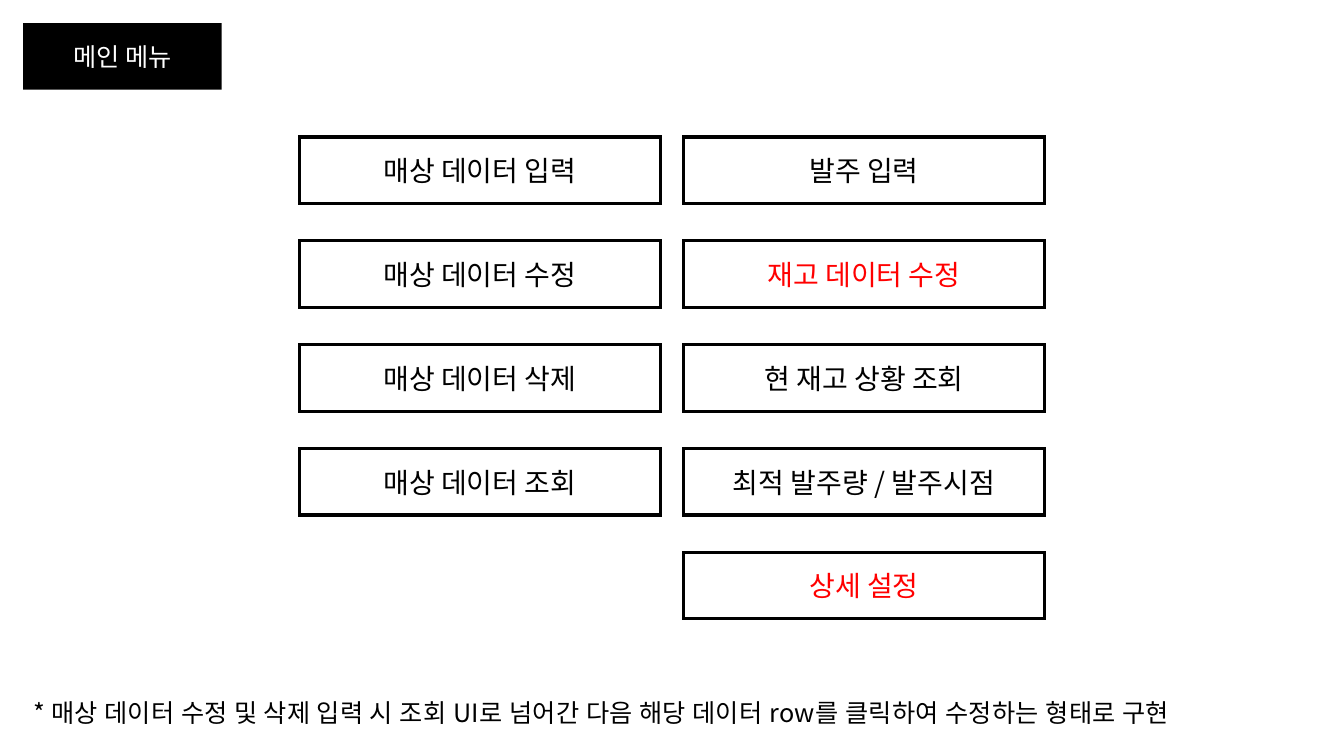
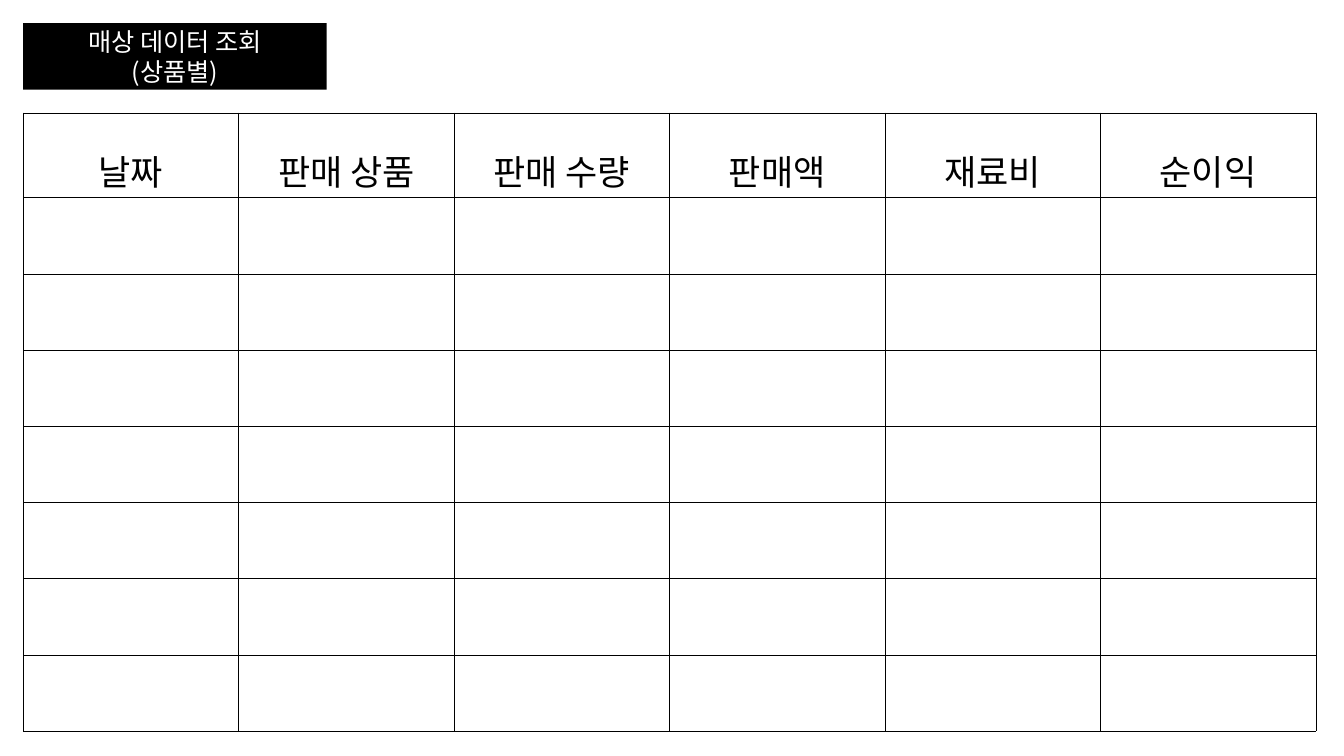
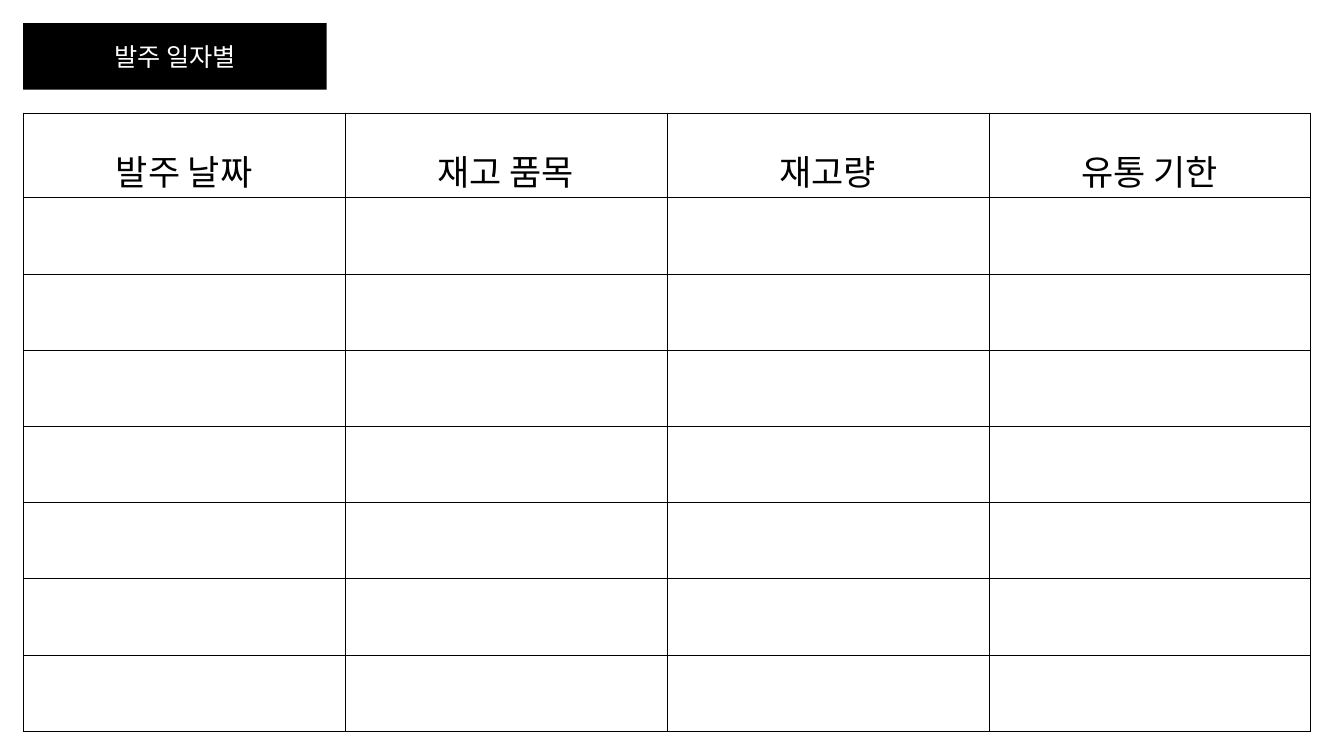
from lxml.etree import SubElement
from pptx import Presentation
from pptx.dml.color import RGBColor
from pptx.enum.shapes import MSO_SHAPE
from pptx.enum.text import MSO_ANCHOR, MSO_AUTO_SIZE, PP_ALIGN
from pptx.oxml.ns import qn
from pptx.util import Inches, Pt

# Shared style
FONT = "Noto Sans CJK KR"
BLACK, WHITE, RED = "000000", "FFFFFF", "FF0000"
MARGIN = 0.23
BAR_HEIGHT = 0.66

# Content
MENU_TITLE = "메인 메뉴"
MENU_COLUMNS = [
    ["매상 데이터 입력", "매상 데이터 수정", "매상 데이터 삭제", "매상 데이터 조회"],
    ["발주 입력", "재고 데이터 수정", "현 재고 상황 조회", "최적 발주량 / 발주시점", "상세 설정"],
]
RED_ITEMS = {"재고 데이터 수정", "상세 설정"}
MENU_NOTE = "* 매상 데이터 수정 및 삭제 입력 시 조회 UI로 넘어간 다음 해당 데이터 row를 클릭하여 수정하는 형태로 구현"
TABLE_SLIDES = [
    {"title": "매상 데이터 조회\n(상품별)", "width": 12.82,
     "headers": ["날짜", "판매 상품", "판매 수량", "판매액", "재료비", "순이익"]},
    {"title": "발주 일자별", "width": 12.77,
     "headers": ["발주 날짜", "재고 품목", "재고량", "유통 기한"]},
]

# Layout
MENU_LEFT, MENU_TOP = 2.97, 1.36
BUTTON_WIDTH = 3.58
COLUMN_STEP, ROW_STEP = 3.81, 1.03
TABLE_TOP, TABLE_HEIGHT, TABLE_ROWS = 1.12, 6.05, 8
HEADER_HEIGHT = 0.84


def rgb(value):
    return RGBColor.from_string(value)


def write(text_frame, text, size, color, align=PP_ALIGN.CENTER, line_spacing=None, tracking=0):
    text_frame.text = text
    for paragraph in text_frame.paragraphs:
        paragraph.alignment = align
        paragraph.line_spacing = line_spacing
        for run in paragraph.runs:
            run.font.size = Pt(size)
            run.font.name = FONT
            run.font.color.rgb = rgb(color)
            properties = run.font._element
            SubElement(properties, qn("a:ea"), typeface=FONT)
            if tracking:
                properties.set("spc", str(tracking))


def add_box(slide, left, top, width, text, size, color, fill=None):
    """Filled bar without a line, or outlined button without a fill."""
    box = slide.shapes.add_shape(MSO_SHAPE.RECTANGLE, Inches(left), Inches(top),
                                 Inches(width), Inches(BAR_HEIGHT))
    box.shadow.inherit = False
    if fill:
        box.fill.solid()
        box.fill.fore_color.rgb = rgb(fill)
        box.line.fill.background()
    else:
        box.fill.background()
        box.line.color.rgb = rgb(BLACK)
        box.line.width = Pt(2.25)
        # Square corners on the outline
        SubElement(box.line._get_or_add_ln(), qn("a:miter"), lim="800000")
    box.text_frame.vertical_anchor = MSO_ANCHOR.MIDDLE
    write(box.text_frame, text, size, color)


def add_titled_slide(presentation, title, width):
    slide = presentation.slides.add_slide(presentation.slide_layouts[6])
    add_box(slide, MARGIN, MARGIN, width, title, 18, WHITE, fill=BLACK)
    return slide


def set_borders(cell):
    properties = cell._tc.get_or_add_tcPr()
    for side in ("a:lnL", "a:lnR", "a:lnT", "a:lnB"):
        line = SubElement(properties, qn(side), w=str(Pt(0.28)))
        fill = SubElement(line, qn("a:solidFill"))
        SubElement(fill, qn("a:srgbClr"), val=BLACK)


def add_grid(slide, headers, width):
    table = slide.shapes.add_table(TABLE_ROWS, len(headers), Inches(MARGIN), Inches(TABLE_TOP),
                                   Inches(width), Inches(TABLE_HEIGHT)).table
    table.first_row = table.horz_banding = False
    table.rows[0].height = Inches(HEADER_HEIGHT)
    for cell in table.iter_cells():
        set_borders(cell)
        cell.fill.background()
    for column, header in enumerate(headers):
        cell = table.cell(0, column)
        cell.margin_left = cell.margin_right = Inches(0.07)
        cell.margin_top = cell.margin_bottom = Inches(0.02)
        write(cell.text_frame, header, 25, BLACK, line_spacing=1.6)


def add_menu_slide(presentation):
    slide = add_titled_slide(presentation, MENU_TITLE, 1.97)
    for column, items in enumerate(MENU_COLUMNS):
        for row, item in enumerate(items):
            add_box(slide, MENU_LEFT + column * COLUMN_STEP, MENU_TOP + row * ROW_STEP,
                    BUTTON_WIDTH, item, 20, RED if item in RED_ITEMS else BLACK)
    note = slide.shapes.add_textbox(Inches(MARGIN), Inches(6.87), Inches(12.87), Inches(0.4))
    note.text_frame.word_wrap = True
    note.text_frame.auto_size = MSO_AUTO_SIZE.SHAPE_TO_FIT_TEXT
    write(note.text_frame, MENU_NOTE, 18, BLACK, align=PP_ALIGN.LEFT, tracking=27)


def main():
    presentation = Presentation()
    presentation.slide_width, presentation.slide_height = Inches(13.33), Inches(7.5)
    add_menu_slide(presentation)
    for content in TABLE_SLIDES:
        slide = add_titled_slide(presentation, content["title"], 3.01)
        add_grid(slide, content["headers"], content["width"])
    presentation.save("out.pptx")


if __name__ == "__main__":
    main()
